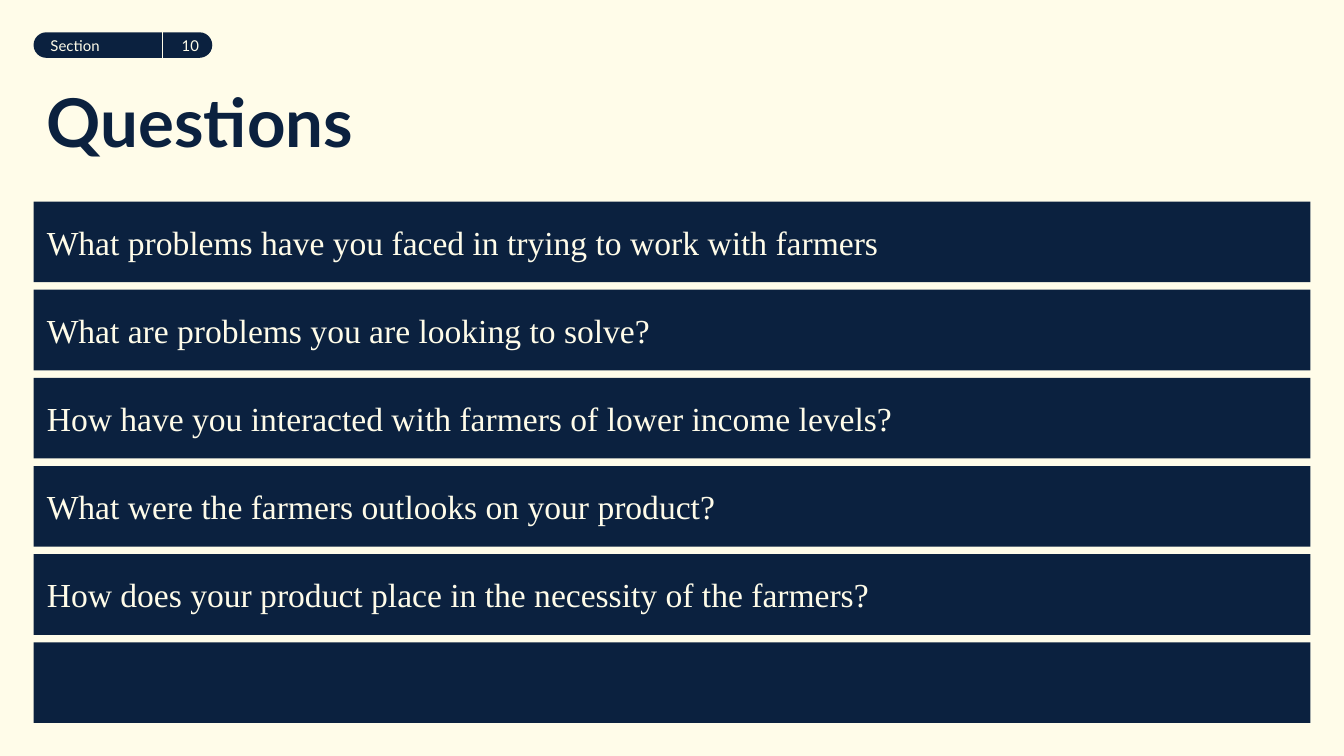
from dataclasses import dataclass

from lxml import etree
from pptx import Presentation
from pptx.dml import color
from pptx.enum import shapes, text
from pptx.oxml import ns
from pptx.util import Inches, Pt


@dataclass(frozen=True)
class Theme:
    navy: color.RGBColor = color.RGBColor.from_string("0B213F")
    cream: color.RGBColor = color.RGBColor.from_string("FFFCE9")
    heading_font: str = "Lato"
    body_font: str = "Times New Roman"
    title_size: int = 36
    question_size: int = 18
    label_size: int = 8


theme = Theme()


def write(shape, words, font, size, ink, align=text.PP_ALIGN.LEFT,
          anchor=text.MSO_ANCHOR.MIDDLE, bold=False):
    frame = shape.text_frame
    frame.word_wrap = True
    frame.vertical_anchor = anchor
    frame.margin_left = frame.margin_right = Inches(0.1)
    frame.margin_top = frame.margin_bottom = Inches(0.1)
    paragraph = frame.paragraphs[0]
    paragraph.alignment = align
    run = paragraph.add_run()
    run.text = words
    run.font.name = font
    run.font.size = Pt(size)
    run.font.bold = bold
    run.font.color.rgb = ink


def add_block(slide, kind, left, top, width, height):
    shape = slide.shapes.add_shape(kind, left, top, width, height)
    shape.shadow.inherit = False
    shape.fill.solid()
    shape.fill.fore_color.rgb = theme.navy
    shape.line.fill.background()
    return shape


presentation = Presentation()
presentation.slide_width = Inches(10)
presentation.slide_height = presentation.slide_width * 9 // 16
slide = presentation.slides.add_slide(presentation.slide_layouts[6])
slide.background.fill.solid()
slide.background.fill.fore_color.rgb = theme.cream

margin = Inches(0.25)
content_width = presentation.slide_width - 2 * margin

title = slide.shapes.add_textbox(margin, Inches(0.5), Inches(6.25), Inches(0.61))
write(title, "Questions", theme.heading_font, theme.title_size, theme.navy,
      anchor=text.MSO_ANCHOR.TOP, bold=True)

questions = [
    "What problems have you faced in trying to work with farmers",
    "What are problems you are looking to solve?",
    "How have you interacted with farmers of lower income levels?",
    "What were the farmers outlooks on your product?",
    "How does your product place in the necessity of the farmers?",
    "",
]
rows_top, rows_bottom = Inches(1.5), Inches(5.38)
row_height = Inches(0.6)
row_step = (rows_bottom - rows_top - row_height) / (len(questions) - 1)
for row, question in enumerate(questions):
    bar = add_block(slide, shapes.MSO_SHAPE.RECTANGLE, margin,
                    round(rows_top + row * row_step), content_width, row_height)
    if question:
        write(bar, question, theme.body_font, theme.question_size, theme.cream)

tag_top, tag_width, tag_height = Inches(0.24), Inches(1.33), Inches(0.19)
number_width = Inches(0.37)
divider_x = margin + tag_width - number_width
tag = add_block(slide, shapes.MSO_SHAPE.ROUNDED_RECTANGLE,
                margin, tag_top, tag_width, tag_height)
tag.adjustments[0] = 0.5
write(tag, "Section", theme.heading_font, theme.label_size, theme.cream)

number = slide.shapes.add_textbox(divider_x, tag_top, number_width, tag_height)
write(number, "10", theme.heading_font, theme.label_size, theme.cream,
      align=text.PP_ALIGN.RIGHT)

divider = slide.shapes.add_connector(shapes.MSO_CONNECTOR.STRAIGHT, divider_x,
                                     tag_top, divider_x, tag_top + tag_height)
divider.line.color.rgb = theme.cream
divider.line.width = Pt(0.75)
etree.SubElement(divider._element.spPr, ns.qn("a:effectLst"))

presentation.save("out.pptx")
